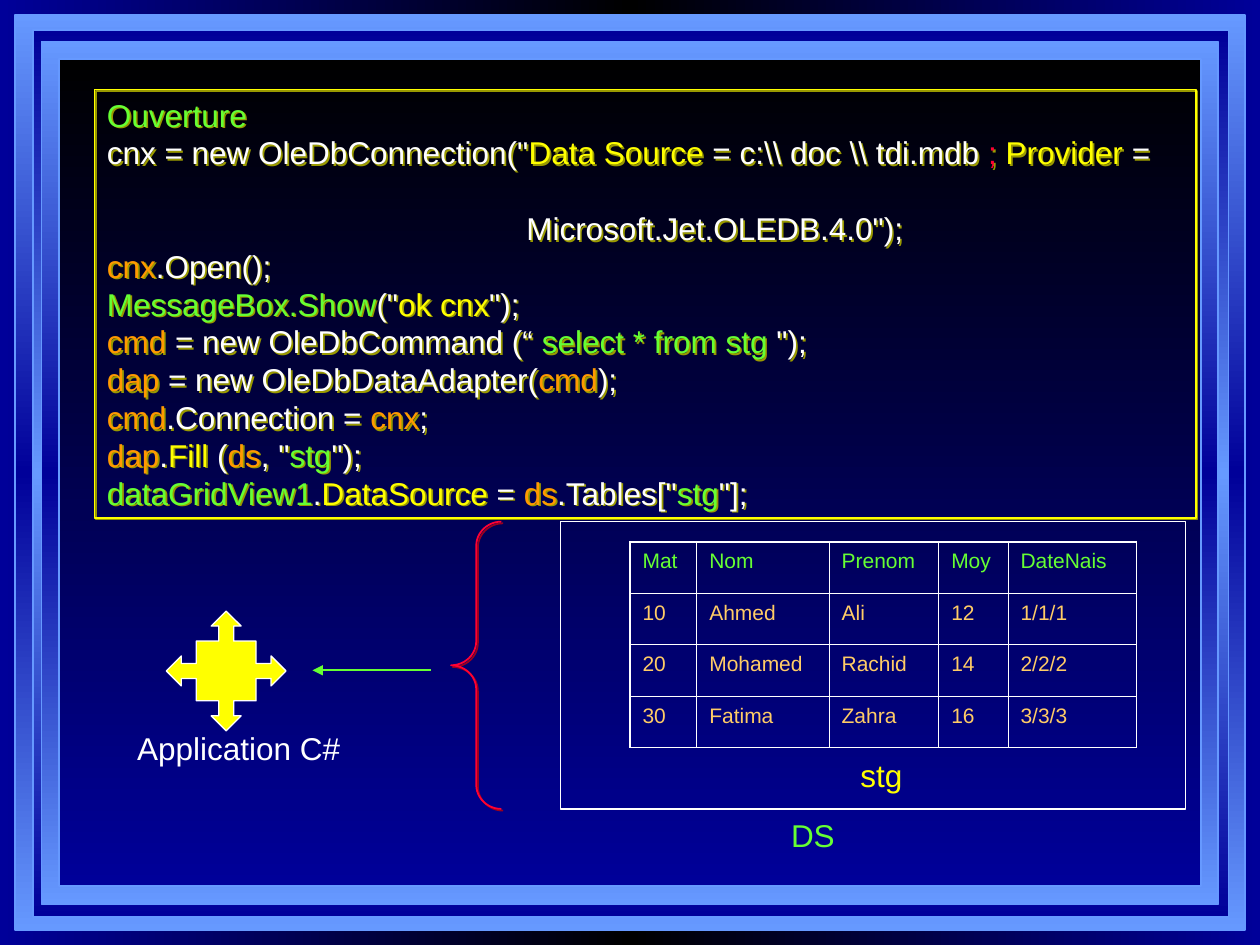
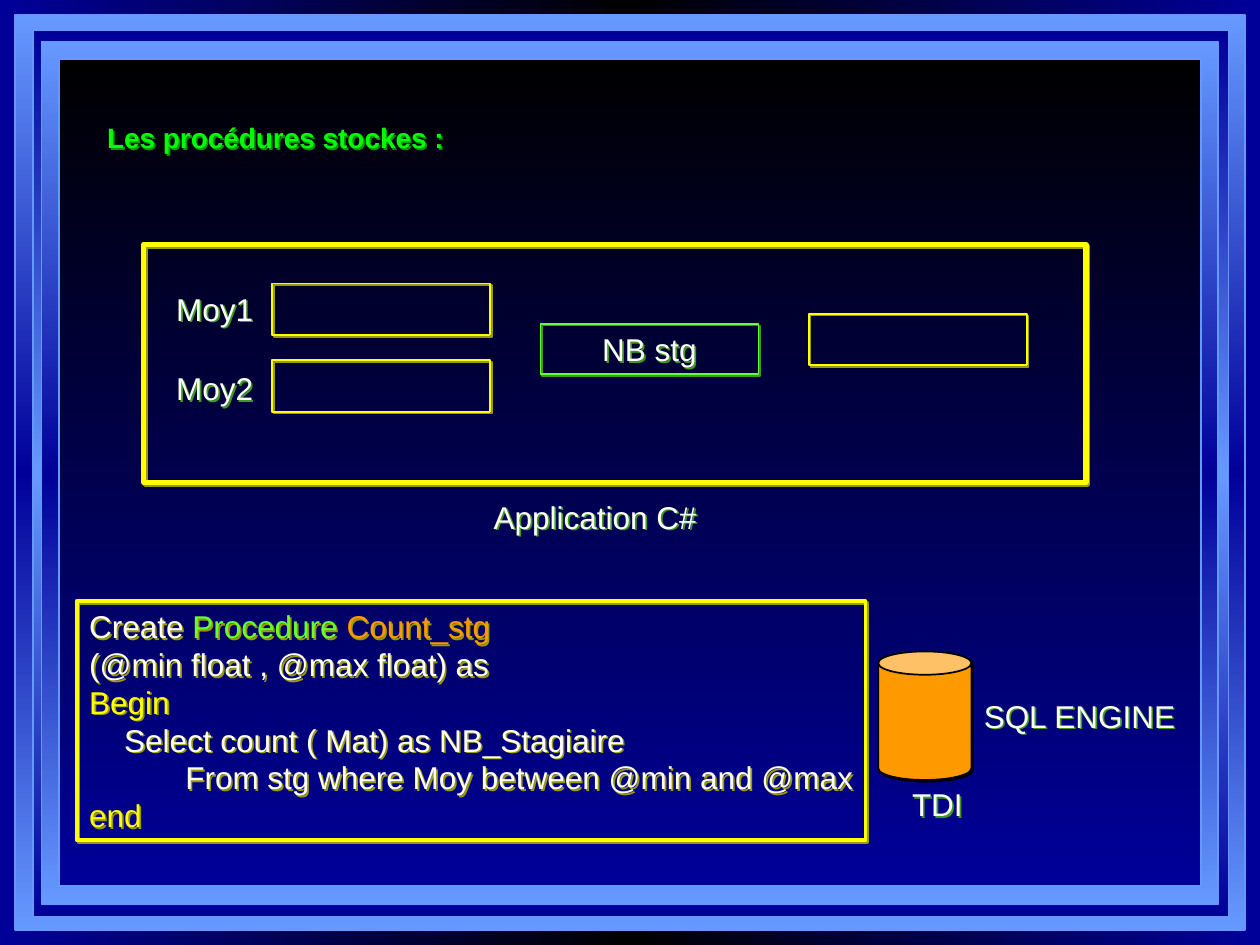
from dataclasses import dataclass
from typing import Any

from lxml import etree
from pptx import Presentation
from pptx.dml.color import RGBColor
from pptx.enum.shapes import MSO_CONNECTOR, MSO_SHAPE
from pptx.enum.text import MSO_ANCHOR, MSO_AUTO_SIZE, PP_ALIGN
from pptx.oxml.ns import qn
from pptx.util import Emu, Inches, Pt

RECT, CAN = MSO_SHAPE.RECTANGLE, MSO_SHAPE.CAN
BRACE, CROSS = MSO_SHAPE.LEFT_BRACE, MSO_SHAPE.QUAD_ARROW_CALLOUT
STRAIGHT = MSO_CONNECTOR.STRAIGHT
LEFT, CENTER = PP_ALIGN.LEFT, PP_ALIGN.CENTER
TOP, FIXED = MSO_ANCHOR.TOP, MSO_AUTO_SIZE.NONE

WIDE, HIGH = Inches(10), Inches(7.5)
COLS, ROWS = 100, 75
FONT = "Arial"
LEAD = 1.2
THICK, THIN = 1.08, 0.45

HEX = {
    "navy": "000099", "black": "000000", "sky": "6699FF", "white": "FFFFFF",
    "yellow": "FFFF00", "green": "66FF33", "lime": "00FF00", "red": "FF0033",
    "orange": "FF9900", "sand": "FFCC66", "olive": "999900", "moss": "3D991F",
    "leaf": "009900", "wine": "99001F",
}

Line = list[tuple[str, str]]


@dataclass
class Area:
    """Left, top, width and height in grid columns and rows."""
    col: float
    row: float
    wide: float
    high: float

    def spots(self) -> tuple[Emu, Emu, Emu, Emu]:
        return across(self.col), down(self.row), across(self.wide), down(self.high)


@dataclass
class Form:
    area: Area
    edge: str = "yellow"
    width: float = 1
    shade: str = ""
    fill: str = ""
    kind: Any = RECT
    bends: tuple[float, ...] = ()
    text: tuple[Line, ...] = ()
    align: Any = LEFT
    wrap: bool = True


@dataclass
class Label:
    area: Area
    text: str
    color: str = "white"
    shade: str = ""
    wrap: bool = False


FRAMES = [
    (Area(1.2, 1.2, 97.6, 72.6), ("sky", "navy", "sky")),
    (Area(2.6, 2.4, 94.9, 70.4), ("navy", "sky", "navy")),
    (Area(3.3, 3.3, 93.4, 68.5), ("sky", "navy", "sky")),
    (Area(4.7, 4.7, 90.6, 65.6), ("black", "navy")),
]

OPEN_CODE: tuple[Line, ...] = (
    [("Ouverture", "green")],
    [('cnx = new OleDbConnection("', "white"), ("Data Source", "yellow"),
     (" = c:\\\\ doc \\\\ tdi.mdb ", "white"), ("; ", "red"),
     ("Provider", "yellow"), (" =", "white")],
    [(" " * 48 + 'Microsoft.Jet.OLEDB.4.0");', "white")],
    [("cnx", "orange"), (".Open();", "white")],
    [("MessageBox.Show", "green"), ('("', "white"), ("ok cnx", "yellow"),
     ('");', "white")],
    [("cmd", "orange"), (" = new OleDbCommand (“ ", "white"),
     ("select * from stg", "green"), (' ");', "white")],
    [("dap", "orange"), (" = new OleDbDataAdapter(", "white"),
     ("cmd", "orange"), (");", "white")],
    [("cmd", "orange"), (".Connection = ", "white"), ("cnx", "orange"),
     (";", "white")],
    [("dap", "orange"), (".", "white"), ("Fill", "yellow"), (" (", "white"),
     ("ds", "orange"), (', "', "white"), ("stg", "green"), ('");', "white")],
    [("dataGridView1", "green"), (".", "white"), ("DataSource", "yellow"),
     (" = ", "white"), ("ds", "orange"), ('.Tables["', "white"),
     ("stg", "green"), ('"];', "white")],
)

PROC_CODE: tuple[Line, ...] = (
    [("Create ", "white"), ("Procedure ", "green"), ("Count_stg", "orange")],
    [("(@min float , @max float) as", "white")],
    [("Begin", "yellow")],
    [("    Select count ( Mat) as NB_Stagiaire", "white")],
    [("           From stg where Moy between @min and @max", "white")],
    [("end", "yellow")],
)

GRADES = [
    ("Mat", "Nom", "Prenom", "Moy", "DateNais"),
    ("10", "Ahmed", "Ali", "12", "1/1/1"),
    ("20", "Mohamed", "Rachid", "14", "2/2/2"),
    ("30", "Fatima", "Zahra", "16", "3/3/3"),
]
GRADE_COLS = (5.3, 10.5, 8.7, 5.5, 10.2)
GRADE_ROW = 4.08

OPEN_FORMS = [
    Form(Area(7.5, 7.1, 87.4, 34), shade="olive", text=OPEN_CODE),
    Form(Area(44.5, 41.4, 49.6, 22.8), "white", 0.75),
    Form(Area(13.2, 48.5, 9.5, 9.5), "white", 0.75, fill="yellow", kind=CROSS,
         bends=(0.125, 0.125, 0.125, 0.5)),
    Form(Area(35.8, 41.4, 4, 22.8), "red", shade="wine", kind=BRACE,
         bends=(0.48, 0.5)),
]
OPEN_LABELS = [
    Label(Area(67.3, 59.5, 5.3, 4), "stg", "yellow"),
    Label(Area(61.8, 64.3, 5.4, 4), "DS", "green"),
    Label(Area(9.9, 57.4, 18.8, 4), "Application C#"),
]

FIELDS = [(21.6, 22.5), (21.6, 28.6), (64.2, 24.9)]
PROC_FORMS = [
    *(Form(Area(col, row, 17.3, 4.1), shade="olive") for col, row in FIELDS),
    Form(Area(42.9, 25.7, 17.3, 4), "green", shade="moss",
         text=([("NB stg", "white")],), align=CENTER),
    Form(Area(11.4, 19.4, 74.8, 18.9), width=3, shade="olive"),
    Form(Area(6.1, 47.7, 62.6, 19), width=2.25, shade="olive",
         text=PROC_CODE, wrap=False),
    Form(Area(69.7, 51.7, 7.4, 10.2), "black", shade="black", fill="orange",
         kind=CAN, bends=(0.25,)),
]
PROC_LABELS = [
    Label(Area(13, 22.5, 9.4, 4), "Moy1", shade="moss", wrap=True),
    Label(Area(13, 28.8, 8.6, 4), "Moy2", shade="moss", wrap=True),
    Label(Area(38.2, 39, 23.6, 4), "Application C#", shade="moss", wrap=True),
    Label(Area(77.1, 54.8, 18, 4), "SQL ENGINE", shade="moss"),
    Label(Area(71.4, 61.8, 6, 4), "TDI", shade="moss"),
]


def across(cols: float) -> Emu:
    return Emu(round(WIDE * cols / COLS))


def down(rows: float) -> Emu:
    return Emu(round(HIGH * rows / ROWS))


def tint(name: str) -> RGBColor:
    return RGBColor.from_string(HEX[name])


def put(item: Any, values: dict[str, Any]) -> None:
    for name, value in values.items():
        setattr(item, name, value)


def node(parent: Any, tag: str, **attrs: Any) -> Any:
    return etree.SubElement(parent, qn(tag), {k: str(v) for k, v in attrs.items()})


def blend(fill: Any, root: Any, names: tuple[str, ...], angle: int) -> None:
    """Give a fill evenly spaced gradient stops."""
    fill.gradient()
    fill.gradient_angle = angle
    stops = root.find(f".//{qn('a:gsLst')}")
    for stop in list(stops):
        stops.remove(stop)
    for i, name in enumerate(names):
        stop = node(stops, "a:gs", pos=100000 * i // (len(names) - 1))
        node(stop, "a:srgbClr", val=HEX[name])


def cast(shape: Any, name: str) -> None:
    """Set a hard shadow, or none when the name is empty."""
    shape.shadow.inherit = False
    if name:
        effects = shape._element.spPr.find(qn("a:effectLst"))
        outer = node(effects, "a:outerShdw", blurRad=0, dist=Pt(1.4),
                     dir=2700000, algn="ctr", rotWithShape=0)
        node(outer, "a:srgbClr", val=HEX[name])


def stroke(line: Any, name: str, width: float) -> None:
    line.color.rgb = tint(name)
    line.width = Pt(width)


def write(frame: Any, lines: tuple[Line, ...], size: float = 18,
          align: Any = LEFT, bold: bool = False) -> None:
    for i, line in enumerate(lines):
        para = frame.paragraphs[0] if i == 0 else frame.add_paragraph()
        put(para, {"alignment": align, "line_spacing": Pt(size * LEAD),
                   "space_before": Pt(0), "space_after": Pt(0)})
        for text, color in line:
            run = para.add_run()
            run.text = text
            put(run.font, {"name": FONT, "size": Pt(size), "bold": bold})
            run.font.color.rgb = tint(color)


def setup(frame: Any, wrap: bool) -> None:
    put(frame, {"word_wrap": wrap, "auto_size": FIXED, "vertical_anchor": TOP,
                "margin_left": Inches(0.1), "margin_right": Inches(0.1),
                "margin_top": Inches(0.05), "margin_bottom": Inches(0.05)})


def draw(slide: Any, form: Form) -> Any:
    shape = slide.shapes.add_shape(form.kind, *form.area.spots())
    for i, bend in enumerate(form.bends):
        shape.adjustments[i] = bend
    if form.fill:
        shape.fill.solid()
        shape.fill.fore_color.rgb = tint(form.fill)
    else:
        shape.fill.background()
    stroke(shape.line, form.edge, form.width)
    cast(shape, form.shade)
    if form.text:
        setup(shape.text_frame, form.wrap)
        write(shape.text_frame, form.text, align=form.align)
    return shape


def label(slide: Any, item: Label) -> None:
    box = slide.shapes.add_textbox(*item.area.spots())
    setup(box.text_frame, item.wrap)
    write(box.text_frame, ([(item.text, item.color)],))
    if item.shade:
        cast(box, item.shade)


def dress(deck: Any, slide: Any) -> None:
    """Put the background and nested frames on the slide master."""
    master = deck.slide_master
    blend(master.background.fill, master.element, ("navy", "black", "navy"), 0)
    for i, (area, names) in enumerate(FRAMES):
        shape = draw(slide, Form(area, "sky"))
        blend(shape.fill, shape._element, names, 270)
        master.shapes._spTree.insert(2 + i, shape._element)


def border(cell: Any, widths: dict[str, float]) -> None:
    props = cell._tc.get_or_add_tcPr()
    for i, (side, width) in enumerate(widths.items()):
        edge = node(props, f"a:ln{side}", w=Pt(width))
        node(node(edge, "a:solidFill"), "a:srgbClr", val=HEX["white"])
        props.insert(i, edge)


def grades(slide: Any) -> None:
    last, end = len(GRADES) - 1, len(GRADE_COLS) - 1
    area = Area(50, 43, sum(GRADE_COLS), GRADE_ROW * len(GRADES))
    table = slide.shapes.add_table(last + 1, end + 1, *area.spots()).table
    put(table, {"first_row": False, "horz_banding": False})
    for column, cols in zip(table.columns, GRADE_COLS):
        column.width = across(cols)
    for r, values in enumerate(GRADES):
        for c, value in enumerate(values):
            cell = table.cell(r, c)
            cell.fill.background()
            write(cell.text_frame, ([(value, "sand" if r else "green")],), 12)
            outer = {"L": c == 0, "R": c == end, "T": r == 0, "B": r == last}
            border(cell, {k: THICK if v else THIN for k, v in outer.items()})


def arrow(slide: Any, start: float, stop: float, row: float) -> None:
    link = slide.shapes.add_connector(STRAIGHT, across(start), down(row),
                                      across(stop), down(row))
    stroke(link.line, "green", 1)
    node(link.line._get_or_add_ln(), "a:tailEnd", type="triangle")
    node(link._element.spPr, "a:effectLst")


def title(slide: Any, text: str) -> None:
    head = slide.shapes.title
    spots = Area(7.5, 9.1, 44.9, 3.7).spots()
    put(head, dict(zip(("left", "top", "width", "height"), spots)))
    setup(head.text_frame, True)
    write(head.text_frame, ([(text, "lime")],), 16, bold=True)
    cast(head, "leaf")


def main() -> None:
    deck = Presentation()
    put(deck, {"slide_width": WIDE, "slide_height": HIGH})
    bare, titled = deck.slide_layouts[6], deck.slide_layouts[5]

    first = deck.slides.add_slide(bare)
    dress(deck, first)
    second = deck.slides.add_slide(titled)
    title(second, "Les procédures stockes :")
    for slide, forms, labels in ((first, OPEN_FORMS, OPEN_LABELS),
                                 (second, PROC_FORMS, PROC_LABELS)):
        for form in forms:
            draw(slide, form)
        for item in labels:
            label(slide, item)

    code = first.shapes[0].text_frame
    code.paragraphs[2].space_before = Pt(18 * LEAD)
    grades(first)
    arrow(first, 34.2, 24.8, 53.2)
    deck.save("out.pptx")


if __name__ == "__main__":
    main()
